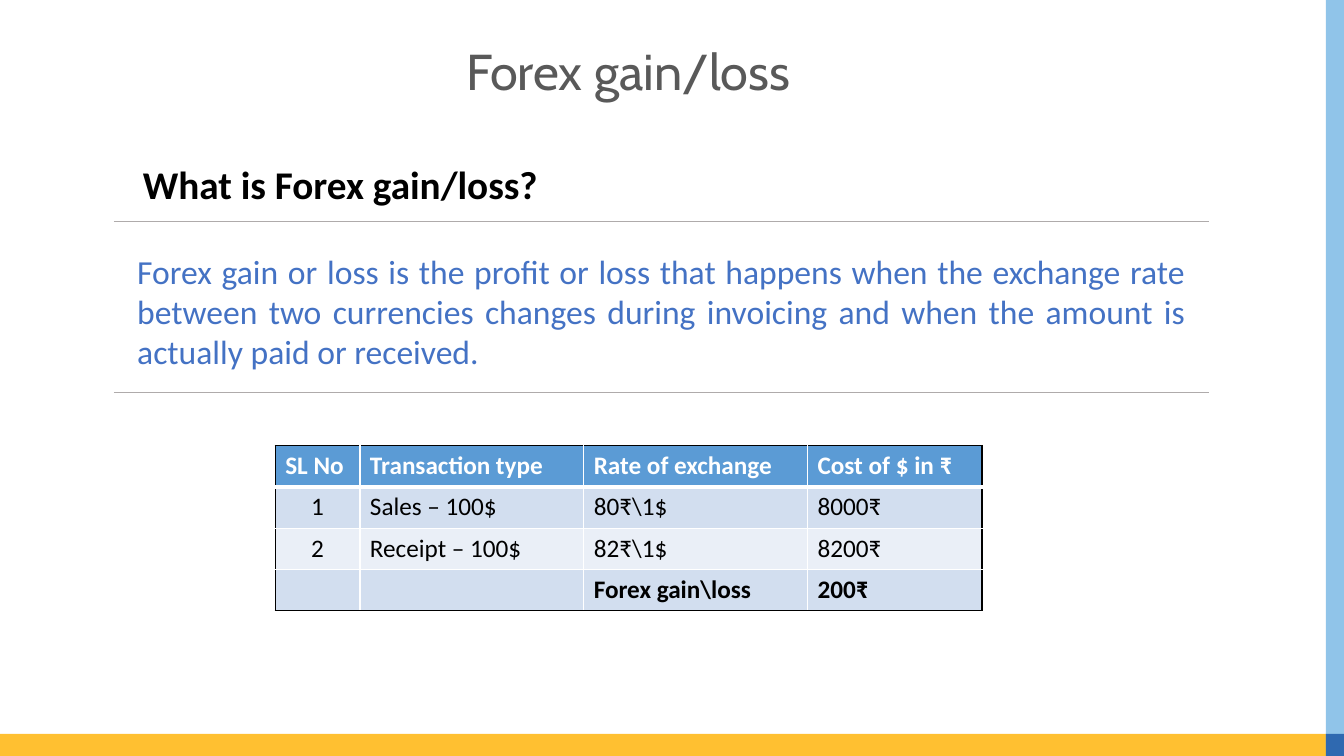
"""Build the forex gain/loss slide with its definition and worked example."""
from dataclasses import dataclass

from lxml import etree
from pptx import Presentation
from pptx.dml.color import RGBColor
from pptx.enum.shapes import MSO_CONNECTOR as CONNECTOR, MSO_SHAPE as SHAPE
from pptx.enum.text import MSO_ANCHOR as ANCHOR, PP_ALIGN as ALIGN
from pptx.oxml.ns import qn
from pptx.util import Inches, Pt


@dataclass(frozen=True)
class Theme:
    title_font: str = "Cabin"
    body_font: str = "Calibri"
    title_size: int = 36
    heading_size: int = 28
    body_size: int = 24
    table_size: int = 18
    title: str = "595959"
    body: str = "4472C4"
    rule: str = "AFABAB"
    black: str = "000000"
    white: str = "FFFFFF"
    yellow: str = "FFC031"
    sky: str = "90C4E9"
    corner: str = "2F69B0"
    header: str = "5B9BD5"
    bands: tuple = ("D2DEEF", "EAEFF7")


T = Theme()


def write(tf, text, font, size, color, align, bold=False):
    p = tf.paragraphs[0]
    p.text = text
    p.alignment = align
    p.font.name = font
    p.font.size = Pt(size)
    p.font.bold = bold
    p.font.color.rgb = RGBColor.from_string(color)
    return p


def set_border(cell, side, color, width):
    ln = etree.SubElement(cell._tc.get_or_add_tcPr(), qn(f"a:ln{side}"), w=str(Pt(width)))
    fill = etree.SubElement(ln, qn("a:solidFill"))
    etree.SubElement(fill, qn("a:srgbClr"), val=color)


prs = Presentation()
prs.slide_width, prs.slide_height = Inches(13.33), Inches(7.5)
s = prs.slides.add_slide(prs.slide_layouts[6])

bars = [
    (0, 7.28, 13.25, 0.22, T.yellow),
    (13.15, 0, 0.18, 7.43, T.sky),
    (13.15, 7.28, 0.18, 0.22, T.corner),
]
for *box, color in bars:
    sp = s.shapes.add_shape(SHAPE.RECTANGLE, *map(Inches, box))
    sp.shadow.inherit = False
    sp.fill.solid()
    sp.fill.fore_color.rgb = RGBColor.from_string(color)
    sp.line.fill.background()

title = s.shapes.add_textbox(Inches(1.64), Inches(0.36), Inches(9.18), Inches(0.7))
tf = title.text_frame
tf.word_wrap = True
tf.vertical_anchor = ANCHOR.BOTTOM
p = write(tf, "Forex gain/loss", T.title_font, T.title_size, T.title, ALIGN.CENTER)
p.line_spacing = 0.9

for y in (2.2, 3.89):
    rule = s.shapes.add_connector(CONNECTOR.STRAIGHT, Inches(1.13), Inches(y), Inches(11.99), Inches(y))
    rule.line.color.rgb = RGBColor.from_string(T.rule)
    rule.line.width = Pt(0.5)
    etree.SubElement(rule._element.spPr, qn("a:effectLst"))

definition = (
    "Forex gain or loss is the profit or loss that happens when the exchange rate "
    "between two currencies changes during invoicing and when the amount is "
    "actually paid or received."
)
panels = [
    ((1.13, 1.55, 4.49, 0.54), "What is Forex gain/loss?", T.heading_size, T.black, ALIGN.CENTER, True),
    ((1.2, 2.44, 10.72, 1.29), definition, T.body_size, T.body, ALIGN.JUSTIFY, False),
]
for box, text, size, color, align, bold in panels:
    sp = s.shapes.add_shape(SHAPE.ROUNDED_RECTANGLE, *map(Inches, box))
    sp.shadow.inherit = False
    sp.fill.background()
    sp.line.fill.background()
    tf = sp.text_frame
    tf.word_wrap = True
    tf.vertical_anchor = ANCHOR.MIDDLE
    write(tf, text, T.body_font, size, color, align, bold)

rows = [
    ["SL No", "Transaction type", "Rate of exchange", "Cost of $ in ₹"],
    ["1", "Sales – 100$", "80₹\\1$", "8000₹"],
    ["2", "Receipt – 100$", "82₹\\1$", "8200₹"],
    ["", "", "Forex gain\\loss", "200₹"],
]
col_widths = [0.84, 2.22, 2.22, 1.73]
row_height = 0.41
last_row, last_col = len(rows) - 1, len(col_widths) - 1
frame = s.shapes.add_table(len(rows), len(col_widths), Inches(2.73), Inches(4.42),
                           Inches(sum(col_widths)), Inches(row_height * len(rows)))
table = frame.table
for col, width in zip(table.columns, col_widths):
    col.width = Inches(width)
for i, row in enumerate(rows):
    table.rows[i].height = Inches(row_height)
    is_header = i == 0
    for j, text in enumerate(row):
        cell = table.cell(i, j)
        outer = {"L": j == 0, "R": j == last_col, "T": is_header, "B": i == last_row}
        for side, is_outer in outer.items():
            thick = (side == "B" and is_header) or (side == "T" and i == 1)
            set_border(cell, side, T.black if is_outer else T.white, 3 if thick else 1)
        cell.fill.solid()
        fill = T.header if is_header else T.bands[(i - 1) % 2]
        cell.fill.fore_color.rgb = RGBColor.from_string(fill)
        align = ALIGN.CENTER if j == 0 and not is_header else ALIGN.LEFT
        write(cell.text_frame, text, T.body_font, T.table_size,
              T.white if is_header else T.black, align, i in (0, last_row))

prs.save("out.pptx")
